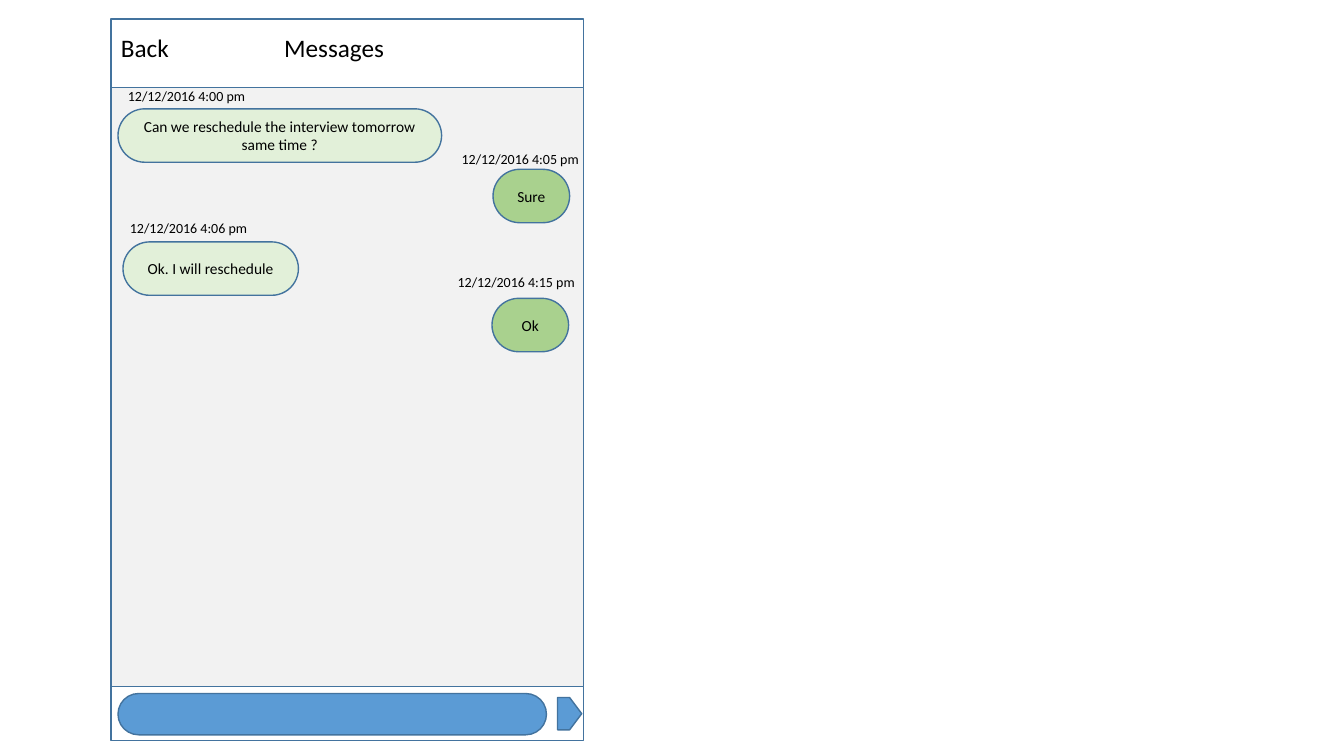
from pptx import Presentation
from pptx import util as u
from pptx.dml.color import RGBColor
from pptx.enum import shapes, text

COLUMNS, ROWS = 1333, 750
CELL = u.Inches(0.01)
FONT = "Calibri"

WHITE = RGBColor(0xFF, 0xFF, 0xFF)
BLACK = RGBColor(0x00, 0x00, 0x00)
GREY = RGBColor(0xF2, 0xF2, 0xF2)
BLUE = RGBColor(0x5B, 0x9B, 0xD5)
OUTLINE = RGBColor(0x43, 0x73, 0x9E)
RECEIVED = RGBColor(0xE2, 0xF0, 0xD9)
SENT = RGBColor(0xA9, 0xD1, 0x8E)

PHONE_LEFT, PHONE_WIDTH = 110, 469
BUBBLE_HEIGHT = 53
STAMP_SIZE = (139, 27)
HEADINGS = [("Back", 110, 68), ("Messages", 272, 120)]
MESSAGES = [
    ("Can we reschedule the interview tomorrow same time ?", RECEIVED,
     (117, 108, 321), "12/12/2016 4:00 pm", (117, 82)),
    ("Sure", SENT, (489, 168, 76), "12/12/2016 4:05 pm", (448, 144)),
    ("Ok. I will reschedule", RECEIVED,
     (122, 240, 174), "12/12/2016 4:06 pm", (119, 213)),
    ("Ok", SENT, (488, 296, 76), "12/12/2016 4:15 pm", (444, 266)),
]


def cells(*values):
    return [value * CELL for value in values]


def style_text(frame, words, size):
    frame.text = words
    para = frame.paragraphs[0]
    para.font.name = FONT
    para.font.size = u.Pt(size)
    para.font.color.rgb = BLACK
    return para


def add_panel(page, kind, place, fill):
    panel = page.shapes.add_shape(kind, *cells(*place))
    panel.shadow.inherit = False
    panel.fill.solid()
    panel.fill.fore_color.rgb = fill
    panel.line.color.rgb = OUTLINE
    panel.line.width = u.Pt(1)
    if kind == shapes.MSO_SHAPE.ROUNDED_RECTANGLE:
        panel.adjustments[0] = 0.5
    return panel


def add_label(page, words, place, size):
    box = page.shapes.add_textbox(*cells(*place))
    box.text_frame.word_wrap = False
    box.text_frame.auto_size = text.MSO_AUTO_SIZE.SHAPE_TO_FIT_TEXT
    style_text(box.text_frame, words, size)


def add_bubble(page, words, place, fill):
    bubble = add_panel(page, shapes.MSO_SHAPE.ROUNDED_RECTANGLE, place, fill)
    bubble.text_frame.vertical_anchor = text.MSO_ANCHOR.MIDDLE
    para = style_text(bubble.text_frame, words, 11)
    para.alignment = text.PP_ALIGN.CENTER


def main():
    deck = Presentation()
    deck.slide_width, deck.slide_height = cells(COLUMNS, ROWS)
    page = deck.slides.add_slide(deck.slide_layouts[6])

    for top, height, fill in [(19, 716, WHITE), (87, 594, GREY)]:
        place = (PHONE_LEFT, top, PHONE_WIDTH, height)
        add_panel(page, shapes.MSO_SHAPE.RECTANGLE, place, fill)

    for words, left, width in HEADINGS:
        add_label(page, words, (left, 27, width, 40), 18)

    for words, fill, bubble_place, stamp, stamp_corner in MESSAGES:
        add_bubble(page, words, (*bubble_place, BUBBLE_HEIGHT), fill)
        add_label(page, stamp, (*stamp_corner, *STAMP_SIZE), 10)

    add_panel(page, shapes.MSO_SHAPE.ROUNDED_RECTANGLE, (117, 688, 425, 41), BLUE)
    add_panel(page, shapes.MSO_SHAPE.PENTAGON, (553, 692, 24, 32), BLUE)
    deck.save("out.pptx")


if __name__ == "__main__":
    main()
